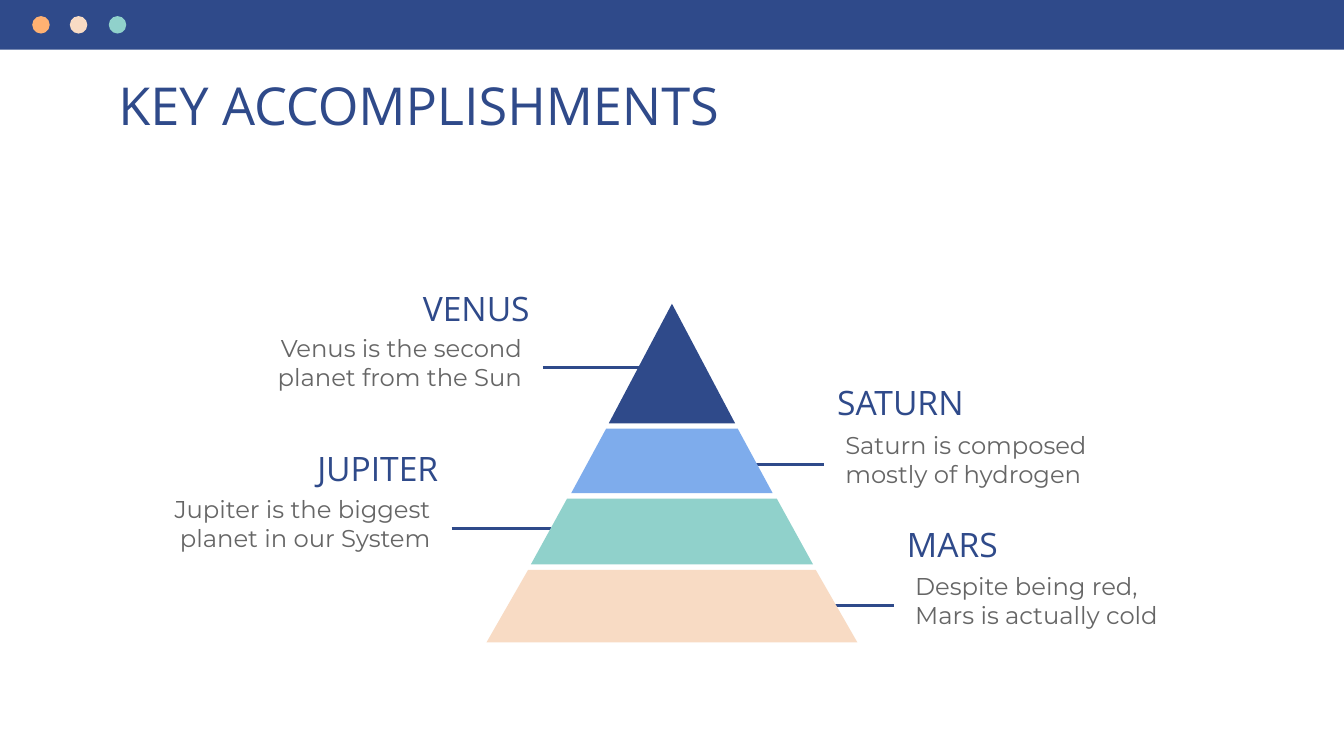
from dataclasses import dataclass

from lxml.etree import SubElement
from pptx import Presentation
from pptx.dml.color import RGBColor
from pptx.enum.shapes import MSO_CONNECTOR, MSO_SHAPE
from pptx.enum.text import MSO_ANCHOR, MSO_AUTO_SIZE, PP_ALIGN
from pptx.oxml.ns import qn
from pptx.util import Inches, Pt


@dataclass(frozen=True)
class Theme:
    navy: str = "2F4A8A"
    blue: str = "7EACEC"
    teal: str = "90D1CB"
    peach: str = "F8DBC4"
    orange: str = "FFB172"
    grey: str = "666666"
    heading_font: str = "Open Sans"
    body_font: str = "Montserrat"
    title_size: int = 28
    heading_size: int = 18
    body_size: int = 13
    line_width: float = 1.5


THEME = Theme()
CENTER = 5
LABEL_WIDTH = 2.15
DETAIL_HEIGHT = 0.57

TIERS = [
    (2.26, 3.15, 0, 0.47, THEME.navy),
    (3.19, 3.67, 0.49, 0.75, THEME.blue),
    (3.71, 4.2, 0.78, 1.05, THEME.teal),
    (4.24, 4.78, 1.07, 1.38, THEME.peach),
]

LABELS = [
    ("VENUS", "Venus is the second planet from the Sun", 1.89, 2.04, 2.45, 4.91),
    ("SATURN", "Saturn is composed mostly of hydrogen ", 6.13, 2.74, 3.17, 5.5),
    ("JUPITER", "Jupiter is the biggest planet in our System", 1.21, 3.23, 3.65, 4.1),
    ("MARS", "Despite being red, Mars is actually cold", 6.65, 3.8, 4.22, 6.03),
]


def paint(shape, color):
    shape.shadow.inherit = False
    shape.fill.solid()
    shape.fill.fore_color.rgb = RGBColor.from_string(color)
    shape.line.fill.background()


def write(frame, wording, font, size, color, align, anchor, insets):
    frame.text = wording
    frame.word_wrap = True
    frame.auto_size = MSO_AUTO_SIZE.NONE
    frame.vertical_anchor = anchor
    frame.margin_left, frame.margin_top, frame.margin_right, frame.margin_bottom = map(Inches, insets)
    paragraph = frame.paragraphs[0]
    paragraph.alignment = align
    style = paragraph.runs[0].font
    style.name = font
    style.size = Pt(size)
    style.color.rgb = RGBColor.from_string(color)


def add_banner(slide):
    banner = slide.shapes.add_shape(MSO_SHAPE.RECTANGLE, 0, 0, Inches(10), Inches(0.37))
    paint(banner, THEME.navy)
    for left, color in ((0.24, THEME.orange), (0.52, THEME.peach), (0.81, THEME.teal)):
        dot = slide.shapes.add_shape(
            MSO_SHAPE.OVAL, Inches(left), Inches(0.12), Inches(0.13), Inches(0.13))
        paint(dot, color)


def add_title(slide, wording):
    title = slide.shapes.title
    title.left, title.top, title.width, title.height = map(Inches, (0.78, 0.6, 8.44, 0.51))
    write(title.text_frame, wording, THEME.heading_font, THEME.title_size, THEME.navy,
          PP_ALIGN.LEFT, MSO_ANCHOR.BOTTOM, (0.1, 0.1, 0.1, 0.1))


def add_leader(slide, start, end, y):
    leader = slide.shapes.add_connector(
        MSO_CONNECTOR.STRAIGHT, Inches(start), Inches(y), Inches(end), Inches(y))
    leader.line.color.rgb = RGBColor.from_string(THEME.navy)
    leader.line.width = Pt(THEME.line_width)
    SubElement(leader._element.spPr, qn("a:effectLst"))


def add_label(slide, heading, detail, left, heading_top, detail_top, tier_edge):
    on_left = left < CENTER
    align = PP_ALIGN.RIGHT if on_left else PP_ALIGN.LEFT
    detail_insets = (0, 0, 0.16, 0.08) if on_left else (0.16, 0, 0, 0.08)
    heading_box = slide.shapes.add_textbox(
        Inches(left), Inches(heading_top), Inches(LABEL_WIDTH), Inches(0.41))
    write(heading_box.text_frame, heading, THEME.heading_font, THEME.heading_size,
          THEME.navy, align, MSO_ANCHOR.TOP, (0.1, 0.1, 0.1, 0.1))
    detail_box = slide.shapes.add_textbox(
        Inches(left), Inches(detail_top), Inches(LABEL_WIDTH), Inches(DETAIL_HEIGHT))
    write(detail_box.text_frame, detail, THEME.body_font, THEME.body_size,
          THEME.grey, align, MSO_ANCHOR.MIDDLE, detail_insets)
    label_edge = left + LABEL_WIDTH if on_left else left
    add_leader(slide, label_edge, tier_edge, detail_top + DETAIL_HEIGHT / 2)


def add_tier(slide, top, bottom, half_top, half_bottom, color):
    corners = [
        (CENTER - half_top, top),
        (CENTER - half_bottom, bottom),
        (CENTER + half_bottom, bottom),
        (CENTER + half_top, top),
    ]
    points = [(Inches(x), Inches(y)) for x, y in corners]
    outline = slide.shapes.build_freeform(*points[0])
    outline.add_line_segments(points[1:], close=True)
    paint(outline.convert_to_shape(), color)


def main():
    deck = Presentation()
    deck.slide_width, deck.slide_height = Inches(10), Inches(10 * 9 / 16)
    slide = deck.slides.add_slide(deck.slide_layouts[5])
    add_banner(slide)
    add_title(slide, "KEY ACCOMPLISHMENTS")
    for label in LABELS:
        add_label(slide, *label)
    for tier in TIERS:
        add_tier(slide, *tier)
    deck.save("out.pptx")


main()
